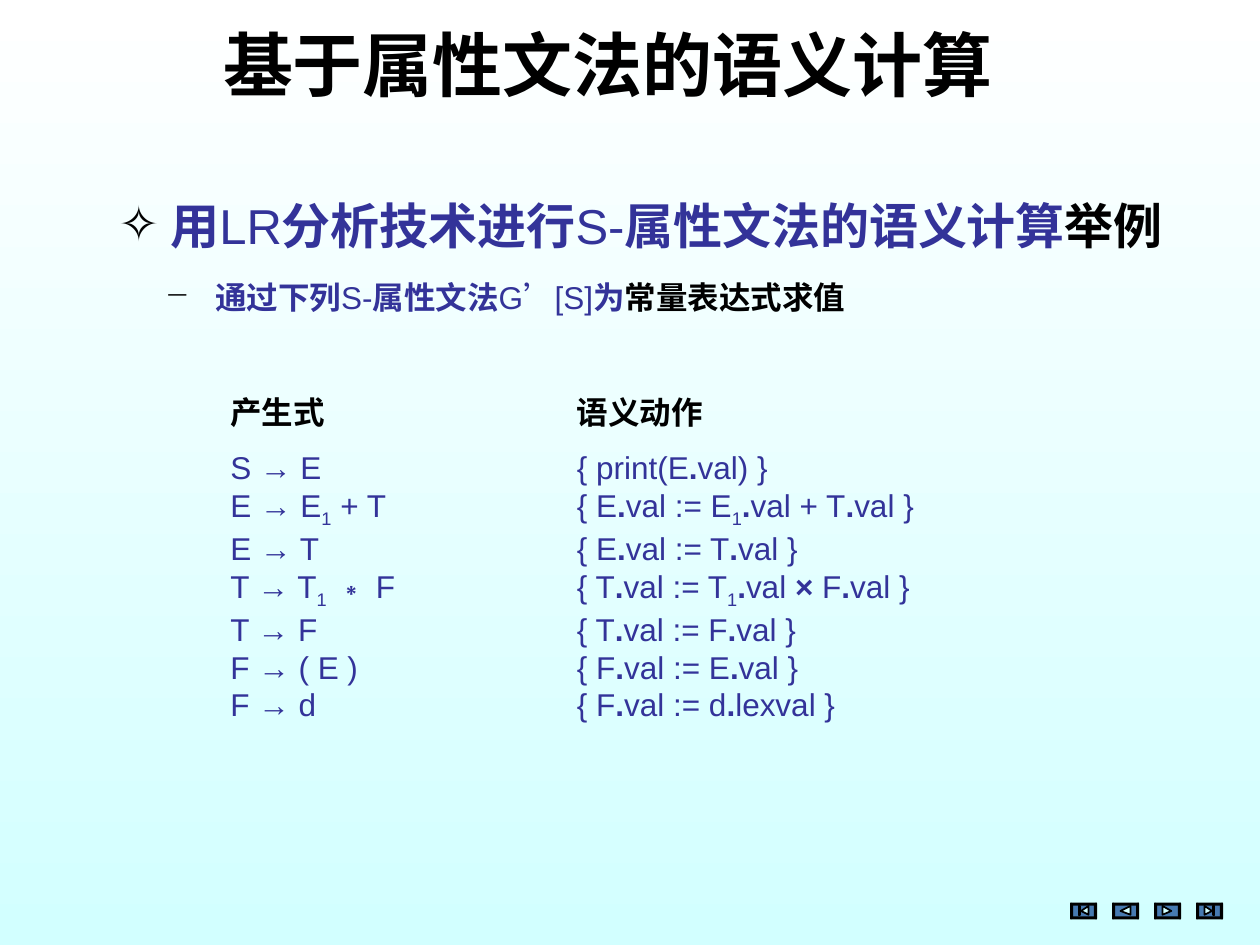
from itertools import groupby

from lxml import etree
from pptx import Presentation
from pptx import util as u
from pptx.dml import color
from pptx.enum import text
from pptx.oxml import ns

COLORS = {
    "black": "000000",
    "navy": "333399",
    "button": "477AB1",
    "sky_top": "FFFFFF",
    "sky_bottom": "D2FFFF",
}
FONT = "Arial"
PRODUCTIONS = ["S → E", "E → E1 + T", "E → T", "T → T1 ∗ F", "T → F", "F → ( E )", "F → d"]
ACTIONS = [
    "{ print(E.val) }",
    "{ E.val := E1.val + T.val }",
    "{ E.val := T.val }",
    "{ T.val := T1.val × F.val }",
    "{ T.val := F.val }",
    "{ F.val := E.val }",
    "{ F.val := d.lexval }",
]
HUNDREDTH = u.Inches(0.01)
TRIANGLE_RIGHT = [(6, 2), (13, 6), (6, 9)]
TRIANGLE_LEFT = [(6, 6), (14, 2), (14, 9)]
FIRST_ARROW = [(8, 6), (14, 2), (14, 9)]
LAST_ARROW = [(12, 6), (6, 9), (6, 2)]
BAR_LEFT = [(6, 2), (7, 2), (7, 9), (6, 9)]
BAR_RIGHT = [(13, 2), (13, 9), (14, 9), (14, 2)]
BUTTONS = [[FIRST_ARROW, BAR_LEFT], [TRIANGLE_LEFT], [TRIANGLE_RIGHT], [LAST_ARROW, BAR_RIGHT]]


def rgb(name):
    return color.RGBColor.from_string(COLORS[name])


def place(box, left, top, width, height):
    box.left, box.top = u.Inches(left), u.Inches(top)
    box.width, box.height = u.Inches(width), u.Inches(height)
    frame = box.text_frame
    frame.word_wrap = True
    frame.auto_size = text.MSO_AUTO_SIZE.NONE
    frame.vertical_anchor = text.MSO_ANCHOR.TOP
    para = frame.paragraphs[0]
    para.alignment = text.PP_ALIGN.LEFT
    para.space_before = u.Pt(0)
    return frame


def add_text_box(page, *bounds):
    return place(page.shapes.add_textbox(0, 0, 0, 0), *bounds)


def add_span(para, words, size, ink, bold):
    span = para.add_run()
    span.text = words
    font = span.font
    font.name, font.size, font.bold = FONT, u.Pt(size), bold
    font.color.rgb = rgb(ink)
    return span


def set_bullet(para, symbol, indent):
    props = para._p.get_or_add_pPr()
    props.set("marL", str(u.Inches(indent)))
    props.set("indent", str(-u.Inches(indent)))
    bullet_color = etree.SubElement(props, ns.qn("a:buClr"))
    etree.SubElement(bullet_color, ns.qn("a:srgbClr"), val=COLORS["black"])
    etree.SubElement(props, ns.qn("a:buChar"), char=symbol)


def add_mixed_spans(para, size, spans):
    for words, ink, bold in spans:
        add_span(para, words, size, ink, bold)


def glyph_role(letter):
    return {"1": "subscript", ".": "bold", "×": "bold"}.get(letter, "plain")


def add_rule_column(page, left, width, heading, rules):
    frame = add_text_box(page, left, 3.07, width, 2.72)
    para = frame.paragraphs[0]
    para.space_after = u.Pt(10)
    add_span(para, heading, 18, "black", True)
    for rule in rules:
        para = frame.add_paragraph()
        for role, letters in groupby(rule, glyph_role):
            span = add_span(para, "".join(letters), 18, "navy", role == "bold")
            if role == "subscript":
                span.font._element.set("baseline", "-25000")


def add_button(page, left, top, symbols):
    width, height, edge = 20, 12, 1
    frame = [(0, 0), (width, 0), (width, height), (0, height)]
    inner = [(edge, edge), (width - edge, edge), (width - edge, height - edge), (edge, height - edge)]
    bevels = [[frame[i - 1], frame[i], inner[i], inner[i - 1]] for i in range(4)]
    builder = page.shapes.build_freeform(0, 0, scale=HUNDREDTH)
    builder.add_line_segments(frame[1:])
    for outline in bevels + symbols:
        builder.move_to(*outline[0])
        builder.add_line_segments(outline[1:])
    button = builder.convert_to_shape(left, top)
    button.shadow.inherit = False
    button.fill.solid()
    button.fill.fore_color.rgb = rgb("button")
    button.line.color.rgb = rgb("black")
    button.line.width = u.Pt(1)


def paint_background(page):
    fill = page.background.fill
    fill.gradient()
    fill.gradient_angle = 270
    for stop, name, position in zip(fill.gradient_stops, ("sky_top", "sky_bottom"), (0, 1)):
        stop.color.rgb = rgb(name)
        stop.position = position


def main():
    deck = Presentation()
    deck.slide_width, deck.slide_height = u.Inches(10), u.Inches(7.5)
    page = deck.slides.add_slide(deck.slide_layouts[1])
    paint_background(page)

    title = place(page.shapes.title, 1.67, 0.2, 6.39, 0.7).paragraphs[0]
    title.line_spacing = 0.9
    add_span(title, "基于属性文法的语义计算", 40, "black", True)

    topic = place(page.placeholders[1], 0.84, 1.5, 8.83, 1.04).paragraphs[0]
    set_bullet(topic, "✧", 0.24)
    add_mixed_spans(topic, 28, [
        (" 用", "navy", True),
        ("LR", "navy", False),
        ("分析技术进行", "navy", True),
        ("S-", "navy", False),
        ("属性文法的语义计算", "navy", True),
        ("举例", "black", True),
    ])

    add_rule_column(page, 1.73, 2.52, "产生式", PRODUCTIONS)
    add_rule_column(page, 4.48, 4.02, "语义动作", ACTIONS)

    detail = add_text_box(page, 1.21, 2.16, 8.04, 0.4).paragraphs[0]
    set_bullet(detail, "−", 0.4)
    add_mixed_spans(detail, 18, [
        ("通过下列", "navy", True),
        ("S-", "navy", False),
        ("属性文法", "navy", True),
        ("G’[S]", "navy", False),
        ("为", "navy", True),
        ("常量表达式求值", "black", True),
    ])

    for index, symbols in enumerate(BUTTONS):
        add_button(page, u.Inches(8.5 + index / 3), u.Inches(7.17), symbols)

    deck.save("out.pptx")


if __name__ == "__main__":
    main()
